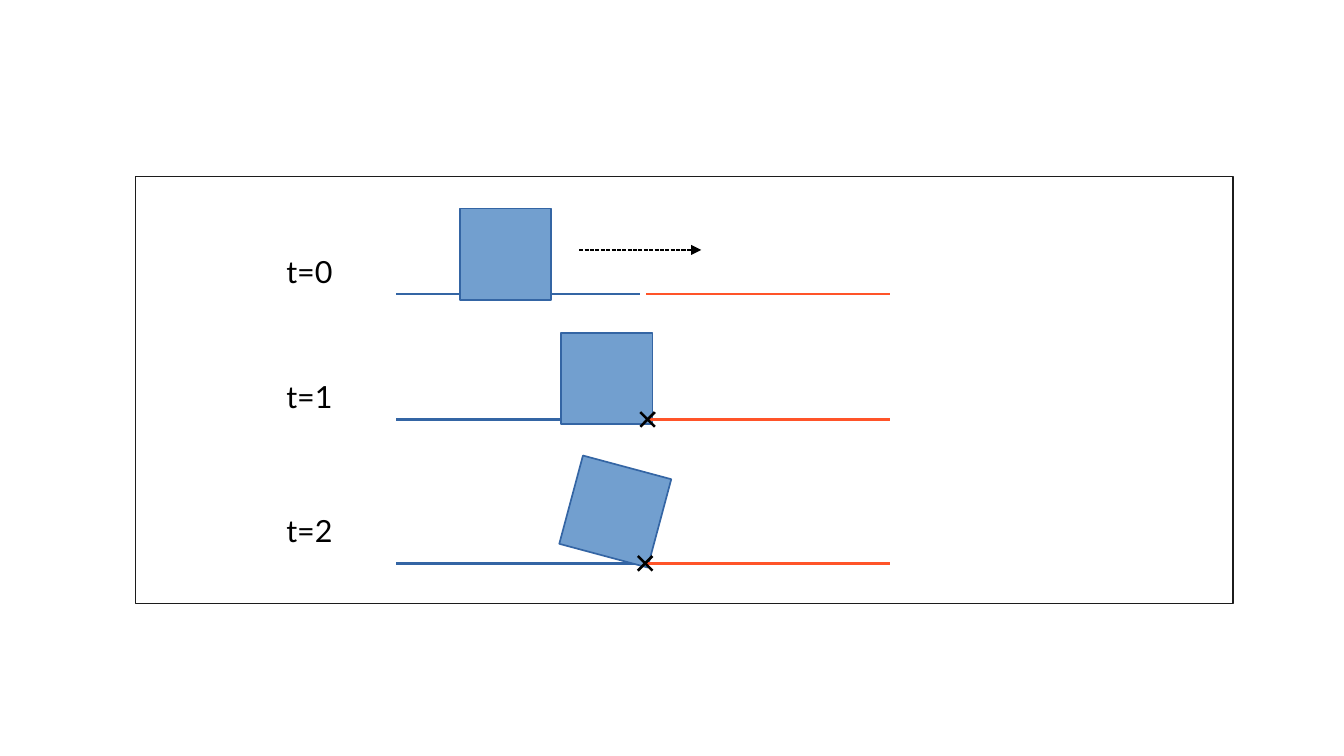
from lxml.etree import SubElement
from pptx import Presentation
from pptx.dml.color import RGBColor
from pptx.enum.dml import MSO_LINE as Dash
from pptx.enum.shapes import MSO_CONNECTOR as Conn, MSO_SHAPE as Shape
from pptx.oxml.ns import qn
from pptx.util import Inches, Pt

BLUE, RED, BLACK = "3465A4", "FF5429", "000000"


def color(code):
    return RGBColor.from_string(code)


class Board:
    font = "Lato"
    size = 18
    side = 0.75

    def __init__(self, slide):
        self.slide = slide

    def box(self, x, y, w, h, fill, edge, width, turn=0):
        box = self.slide.shapes.add_shape(
            Shape.RECTANGLE, Inches(x), Inches(y), Inches(w), Inches(h))
        box.shadow.inherit = False
        box.fill.solid()
        box.fill.fore_color.rgb = color(fill)
        box.line.color.rgb = color(edge)
        box.line.width = Pt(width)
        box.rotation = turn

    def block(self, x, y, turn):
        self.box(x, y, self.side, self.side, "729FCF", BLUE, 1, turn)

    def line(self, x1, y1, x2, y2, tone, width=1.5, shapes=None):
        shapes = shapes or self.slide.shapes
        line = shapes.add_connector(
            Conn.STRAIGHT, Inches(x1), Inches(y1), Inches(x2), Inches(y2))
        line.line.color.rgb = color(tone)
        line.line.width = Pt(width)
        SubElement(line._element.spPr, qn("a:effectLst"))
        return line

    def arrow(self, x1, x2, y):
        line = self.line(x1, y, x2, y, BLACK, 0.79)
        line.line.dash_style = Dash.SQUARE_DOT
        SubElement(line.line._get_or_add_ln(), qn("a:tailEnd"), type="triangle")

    def cross(self, x, y, arm=0.06):
        shapes = self.slide.shapes.add_group_shape().shapes
        for rise in (arm, -arm):
            self.line(x - arm, y - rise, x + arm, y + rise, BLACK, shapes=shapes)

    def label(self, x, y, text):
        frame = self.slide.shapes.add_textbox(
            Inches(x), Inches(y), Inches(0.74), Inches(0.44)).text_frame
        frame.word_wrap = True
        run = frame.paragraphs[0].add_run()
        run.text = text
        run.font.name = self.font
        run.font.size = Pt(self.size)
        run.font.color.rgb = color(BLACK)


def main():
    deck = Presentation()
    deck.slide_width, deck.slide_height = Inches(11.02), Inches(6.2)
    board = Board(deck.slides.add_slide(deck.slide_layouts[6]))
    board.box(1.11, 1.45, 9, 3.5, "FFFFFF", "1C1C1C", 0)

    steps = [
        (2.41, 2.03, 3.77, 1.71, 0),
        (3.44, 3.05, 4.6, 2.73, 0),
        (4.62, 4.15, 4.67, 3.82, 15),
    ]
    for time, (floor, text, left, top, turn) in enumerate(steps):
        board.line(3.25, floor, 5.25, floor, BLUE)
        board.block(left, top, turn)
        board.line(5.3, floor, 7.3, floor, RED)
        board.label(2.25, text, f"t={time}")

    board.arrow(4.75, 5.75, 2.05)
    board.cross(5.31, 3.44)
    board.cross(5.29, 4.62)
    deck.save("out.pptx")


if __name__ == "__main__":
    main()
